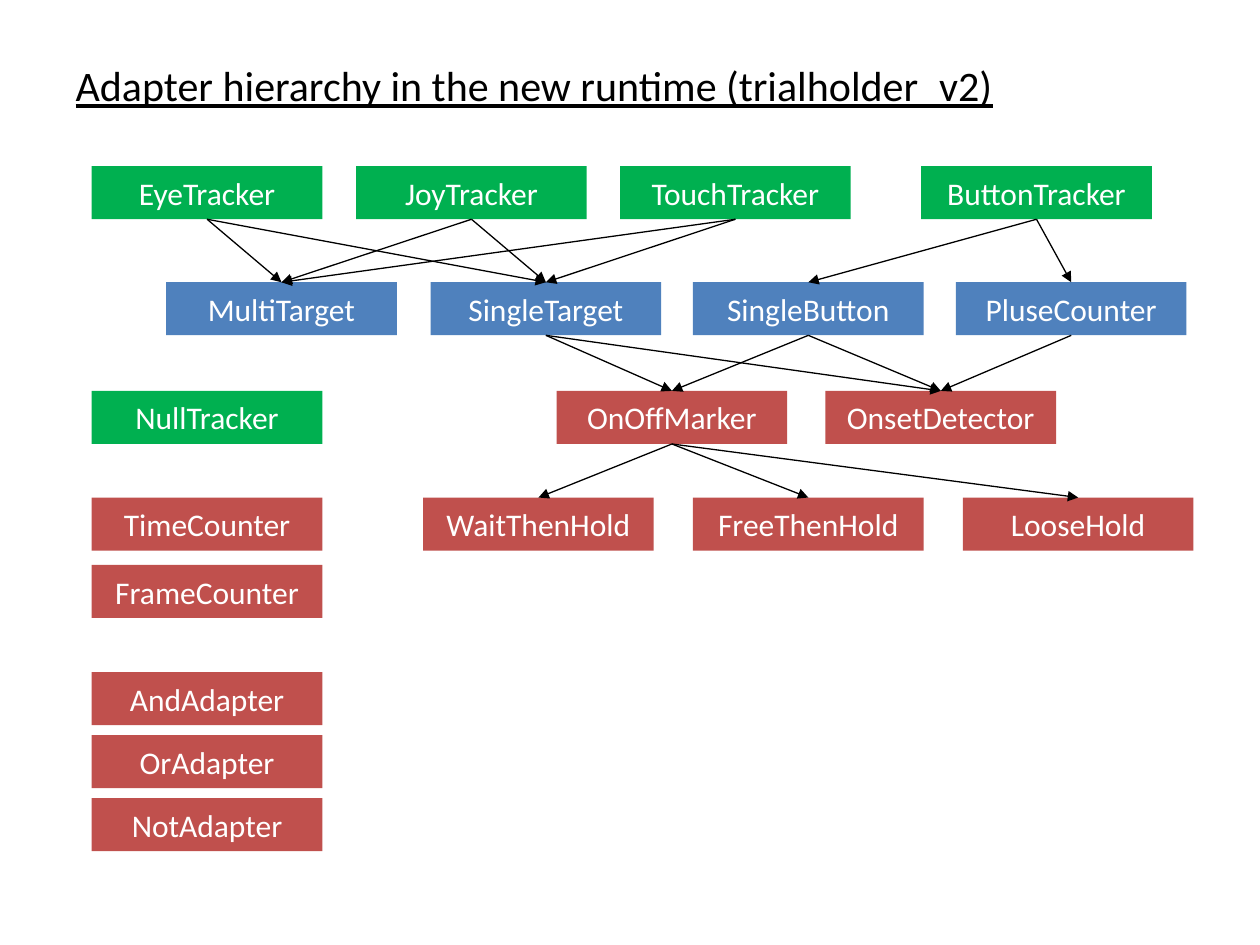
from dataclasses import dataclass

from pptx import Presentation
from pptx.dml.color import RGBColor as Rgb
from pptx.enum.shapes import MSO_CONNECTOR as Connector, MSO_SHAPE as Shape
from pptx.enum.text import MSO_ANCHOR as Anchor, MSO_AUTO_SIZE as AutoSize, PP_ALIGN as Align
from pptx.oxml.ns import qn
from pptx.util import Cm, Pt
from lxml.etree import SubElement


@dataclass(frozen=True)
class Theme:
    font: str = "Calibri"
    title_size: float = 24
    box_size: float = 18
    line_width: float = 0.75
    ink: str = "000000"
    paper: str = "FFFFFF"
    tracker: str = "00B050"
    target: str = "4F81BD"
    adapter: str = "C0504D"


BOX_WIDTH, BOX_HEIGHT = 4.65, 1.07
BOTTOM_SITE, TOP_SITE = 2, 0
LEFT_COLUMN = 1.85

# Each row: top in cm, theme colour, then name and left in cm
ROWS = [
    (3.35, "tracker", {"EyeTracker": LEFT_COLUMN, "JoyTracker": 7.18,
                       "TouchTracker": 12.5, "ButtonTracker": 18.57}),
    (5.69, "target", {"MultiTarget": 3.35, "SingleTarget": 8.68,
                      "SingleButton": 13.97, "PluseCounter": 19.27}),
    (7.88, "tracker", {"NullTracker": LEFT_COLUMN}),
    (7.88, "adapter", {"OnOffMarker": 11.22, "OnsetDetector": 16.64}),
    (10.03, "adapter", {"TimeCounter": LEFT_COLUMN, "WaitThenHold": 8.53,
                        "FreeThenHold": 13.97, "LooseHold": 19.41}),
    (11.39, "adapter", {"FrameCounter": LEFT_COLUMN}),
    (13.55, "adapter", {"AndAdapter": LEFT_COLUMN}),
    (14.82, "adapter", {"OrAdapter": LEFT_COLUMN}),
    (16.09, "adapter", {"NotAdapter": LEFT_COLUMN}),
]

FEEDS = {
    "EyeTracker": ["MultiTarget", "SingleTarget"],
    "JoyTracker": ["MultiTarget", "SingleTarget"],
    "TouchTracker": ["MultiTarget", "SingleTarget"],
    "ButtonTracker": ["SingleButton", "PluseCounter"],
    "SingleTarget": ["OnOffMarker", "OnsetDetector"],
    "SingleButton": ["OnOffMarker", "OnsetDetector"],
    "PluseCounter": ["OnsetDetector"],
    "OnOffMarker": ["WaitThenHold", "FreeThenHold", "LooseHold"],
}


def apply(target, formats):
    for name, value in formats.items():
        setattr(target, name, value)


class HierarchySlide:
    def __init__(self, page, theme):
        self.page = page
        self.theme = theme

    def label(self, shape, text, align, frame_formats, font_formats, color):
        frame = shape.text_frame
        apply(frame, frame_formats)
        para = frame.paragraphs[0]
        para.alignment = align
        span = para.add_run()
        span.text = text
        apply(span.font, {"name": self.theme.font, **font_formats})
        span.font.color.rgb = Rgb.from_string(color)

    def title(self, text, left, top, width, height):
        title = self.page.shapes.title
        apply(title, {"left": Cm(left), "top": Cm(top),
                      "width": Cm(width), "height": Cm(height)})
        self.label(title, text, Align.LEFT,
                   {"word_wrap": False, "vertical_anchor": Anchor.TOP,
                    "auto_size": AutoSize.SHAPE_TO_FIT_TEXT},
                   {"size": Pt(self.theme.title_size), "underline": True},
                   self.theme.ink)

    def box(self, text, left, top, color):
        box = self.page.shapes.add_shape(
            Shape.RECTANGLE, Cm(left), Cm(top), Cm(BOX_WIDTH), Cm(BOX_HEIGHT))
        box.shadow.inherit = False
        box.fill.solid()
        box.fill.fore_color.rgb = Rgb.from_string(color)
        box.line.fill.background()
        self.label(box, text, Align.CENTER,
                   {"word_wrap": True, "vertical_anchor": Anchor.MIDDLE},
                   {"size": Pt(self.theme.box_size)}, self.theme.paper)
        return box

    def arrow(self, source, target):
        """Glue an arrow from the bottom of source to the top of target."""
        arrow = self.page.shapes.add_connector(Connector.STRAIGHT, 0, 0, 0, 0)
        arrow.begin_connect(source, BOTTOM_SITE)
        arrow.end_connect(target, TOP_SITE)
        arrow.line.width = Pt(self.theme.line_width)
        arrow.line.color.rgb = Rgb.from_string(self.theme.ink)
        properties = arrow.element.spPr
        SubElement(properties.get_or_add_ln(), qn("a:tailEnd"), type="triangle")
        SubElement(properties, qn("a:effectLst"))


def main():
    deck = Presentation()
    apply(deck, {"slide_width": Cm(25.4), "slide_height": Cm(19.05)})
    theme = Theme()
    title_only = deck.slide_layouts.get_by_name("Title Only")
    slide = HierarchySlide(deck.slides.add_slide(title_only), theme)

    slide.title("Adapter hierarchy in the new runtime (trialholder_v2)",
                1.27, 1.07, 19.18, 1.27)
    boxes = {name: slide.box(name, left, top, getattr(theme, color))
             for top, color, lefts in ROWS
             for name, left in lefts.items()}
    for source, targets in FEEDS.items():
        for target in targets:
            slide.arrow(boxes[source], boxes[target])

    deck.save("out.pptx")


if __name__ == "__main__":
    main()
